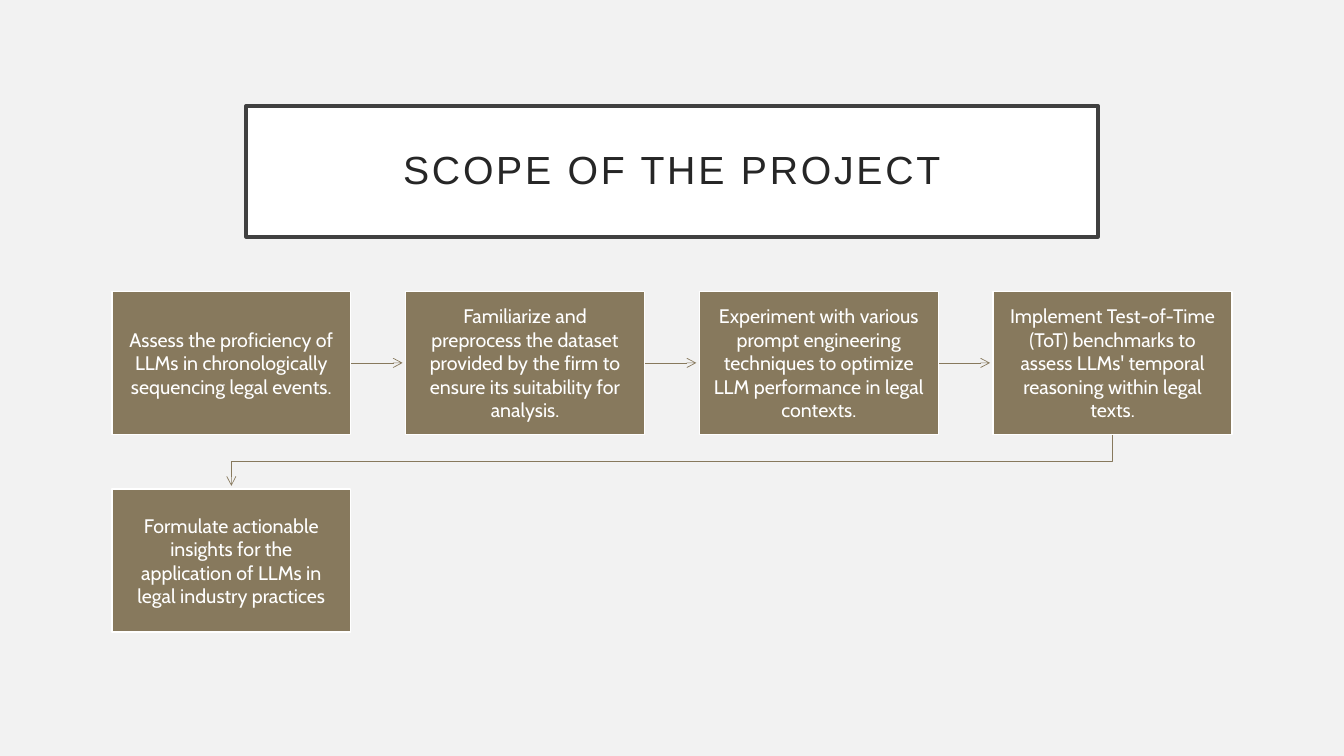
from lxml import etree
from pptx import Presentation
from pptx.dml.color import RGBColor
from pptx.enum.shapes import MSO_CONNECTOR, MSO_SHAPE
from pptx.enum.text import MSO_ANCHOR, PP_ALIGN
from pptx.oxml.ns import qn
from pptx.util import Inches, Pt

RECTANGLE = MSO_SHAPE.RECTANGLE
STRAIGHT = MSO_CONNECTOR.STRAIGHT
MIDDLE = MSO_ANCHOR.MIDDLE
CENTER = PP_ALIGN.CENTER

# Content
TITLE = "SCOPE OF THE PROJECT"
STEPS = [
    "Assess the proficiency of LLMs in chronologically sequencing legal events.",
    "Familiarize and preprocess the dataset provided by the firm to ensure its "
    "suitability for analysis.",
    "Experiment with various prompt engineering techniques to optimize LLM "
    "performance in legal contexts.",
    "Implement Test-of-Time (ToT) benchmarks to assess LLMs' temporal reasoning "
    "within legal texts.",
    "Formulate actionable insights for the application of LLMs in legal industry "
    "practices",
]

# Layout in inches
COLUMNS = 4
STEP_LEFT, STEP_TOP = 1.11, 2.89
LAST_STEP_LEFT = 9.85
STEP_WIDTH, STEP_HEIGHT = 2.37, 1.42
COLUMN_PITCH = (LAST_STEP_LEFT - STEP_LEFT) / (COLUMNS - 1)
ROW_PITCH = 1.96
ARROW_GAP = 0.03
TURN_DROP = 0.27

BACKGROUND, WHITE, BROWN = "F2F2F2", "FFFFFF", "87795D"
TITLE_BORDER, TITLE_INK = "404040", "262626"


def color(hex_value):
    return RGBColor.from_string(hex_value)


def add_box(slide, place, fill, border, border_width, inset):
    box = slide.shapes.add_shape(RECTANGLE, *map(Inches, place))
    box.shadow.inherit = False
    box.fill.solid()
    box.fill.fore_color.rgb = color(fill)
    box.line.color.rgb = color(border)
    box.line.width = Pt(border_width)
    frame = box.text_frame
    frame.word_wrap = True
    frame.vertical_anchor = MIDDLE
    frame.margin_left = frame.margin_right = Inches(inset)
    frame.margin_top = frame.margin_bottom = Inches(inset)
    return box


def write(box, text, font, size, ink):
    paragraph = box.text_frame.paragraphs[0]
    paragraph.alignment = CENTER
    run = paragraph.add_run()
    run.text = text
    run.font.name = font
    run.font.size = Pt(size)
    run.font.color.rgb = color(ink)
    return paragraph, run


def style_arrow(arrow):
    arrow.line.color.rgb = color(BROWN)
    arrow.line.width = Pt(0.5)
    etree.SubElement(arrow.line._get_or_add_ln(), qn("a:tailEnd"), type="arrow")


def step_corner(index):
    row, column = divmod(index, COLUMNS)
    return STEP_LEFT + column * COLUMN_PITCH, STEP_TOP + row * ROW_PITCH


def add_straight_arrow(slide, index):
    left, top = step_corner(index)
    middle = top + STEP_HEIGHT / 2
    end = left + COLUMN_PITCH - ARROW_GAP
    arrow = slide.shapes.add_connector(
        STRAIGHT, *map(Inches, (left + STEP_WIDTH, middle, end, middle)))
    etree.SubElement(arrow._element.spPr, qn("a:effectLst"))
    style_arrow(arrow)


def add_turning_arrow(slide, index):
    left, top = step_corner(index)
    next_left, next_top = step_corner(index + 1)
    start_x, end_x = left + STEP_WIDTH / 2, next_left + STEP_WIDTH / 2
    start_y = top + STEP_HEIGHT
    turn_y = start_y + TURN_DROP
    corners = [(start_x, turn_y), (end_x, turn_y), (end_x, next_top - ARROW_GAP)]
    builder = slide.shapes.build_freeform(Inches(start_x), Inches(start_y))
    builder.add_line_segments(
        [(Inches(x), Inches(y)) for x, y in corners], close=False)
    arrow = builder.convert_to_shape()
    arrow.shadow.inherit = False
    arrow.fill.background()
    style_arrow(arrow)


def main():
    deck = Presentation()
    deck.slide_width, deck.slide_height = Inches(13.33), Inches(7.5)
    slide = deck.slides.add_slide(deck.slide_layouts[6])
    slide.background.fill.solid()
    slide.background.fill.fore_color.rgb = color(BACKGROUND)

    # Title
    title = add_box(slide, (2.44, 1.05, 8.45, 1.3), WHITE, TITLE_BORDER, 2.5, 0.2)
    heading, heading_run = write(title, TITLE, "Arial", 28, TITLE_INK)
    heading.line_spacing = 0.9
    heading_run.font._element.set("spc", "200")

    # Steps, each with the arrow to the next one
    for index, step in enumerate(STEPS):
        if index < len(STEPS) - 1:
            ends_row = (index + 1) % COLUMNS == 0
            add_arrow = add_turning_arrow if ends_row else add_straight_arrow
            add_arrow(slide, index)
        place = (*step_corner(index), STEP_WIDTH, STEP_HEIGHT)
        box = add_box(slide, place, BROWN, WHITE, 1, 0.12)
        write(box, step, "Cabin", 14, WHITE)

    deck.save("out.pptx")


if __name__ == "__main__":
    main()
